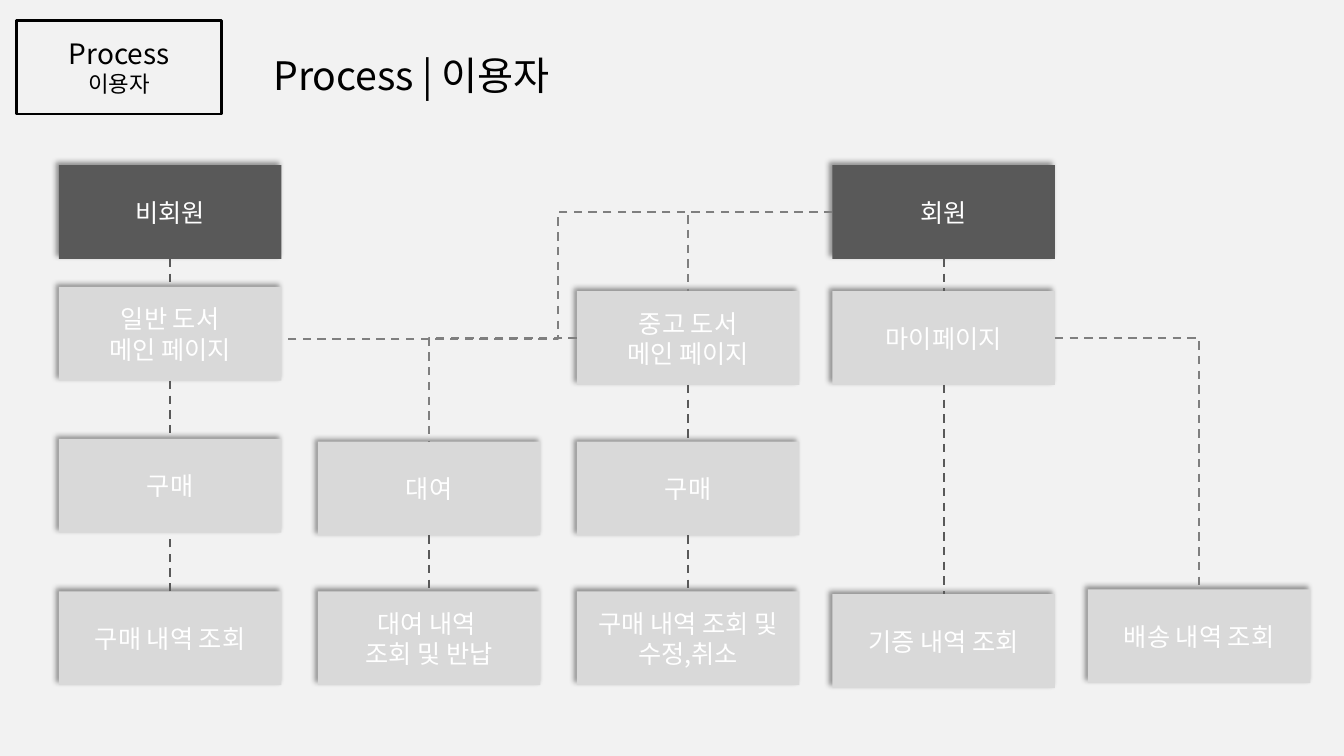
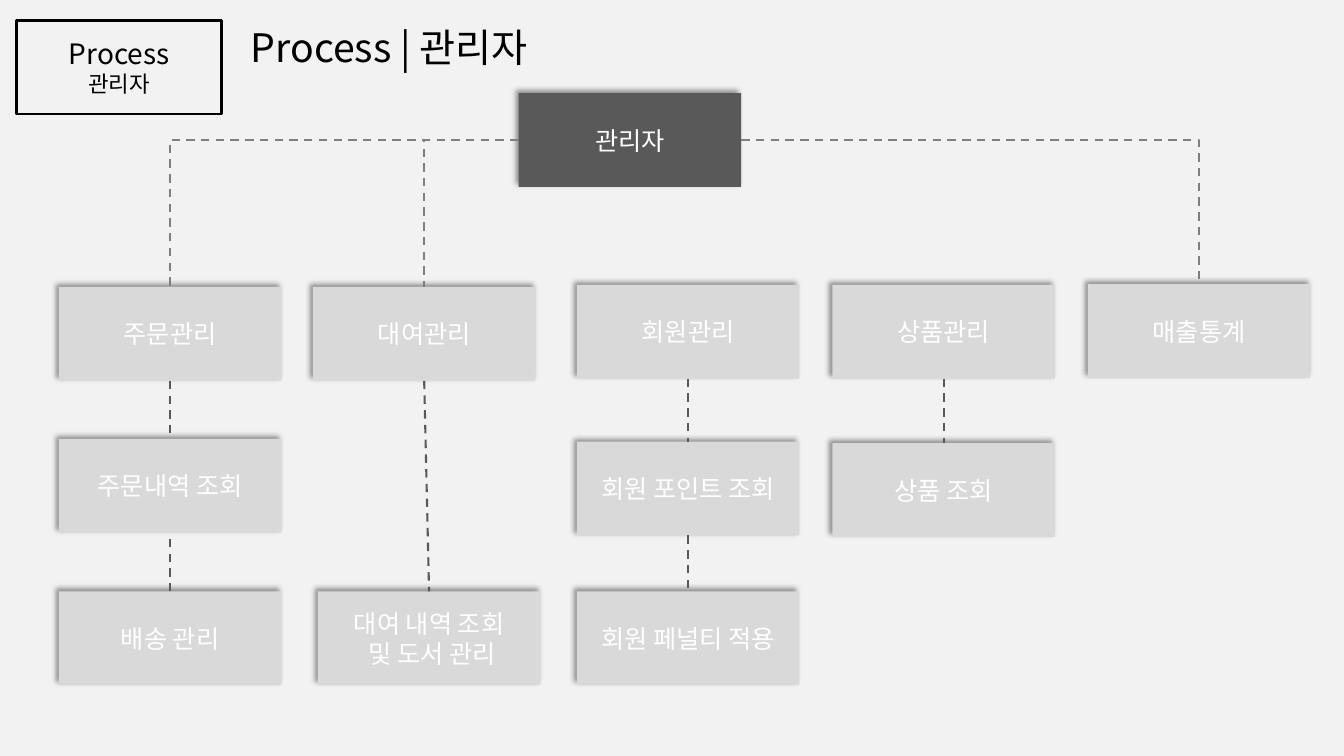
from dataclasses import dataclass

from lxml import etree
from pptx import Presentation
from pptx.dml.color import RGBColor
from pptx.enum.dml import MSO_LINE
from pptx.enum.shapes import MSO_CONNECTOR, MSO_SHAPE
from pptx.enum.text import MSO_ANCHOR, MSO_AUTO_SIZE, PP_ALIGN
from pptx.oxml import parse_xml
from pptx.oxml.ns import nsdecls, qn
from pptx.util import Pt

RECTANGLE = MSO_SHAPE.RECTANGLE
STRAIGHT, ELBOW = MSO_CONNECTOR.STRAIGHT, MSO_CONNECTOR.ELBOW
DASH = MSO_LINE.DASH
LEFT, CENTER = PP_ALIGN.LEFT, PP_ALIGN.CENTER
TOP_ANCHOR, MIDDLE_ANCHOR = MSO_ANCHOR.TOP, MSO_ANCHOR.MIDDLE
NO_AUTOSIZE = MSO_AUTO_SIZE.NONE
TITLE_ONLY = 5

# Connection sites of a rectangle, and where each lies on it
TOP_SITE, LEFT_SITE, BOTTOM_SITE, RIGHT_SITE = range(4)
SITE_PLACES = {TOP_SITE: (0.5, 0), LEFT_SITE: (0, 0.5),
               BOTTOM_SITE: (0.5, 1), RIGHT_SITE: (1, 0.5)}


@dataclass(frozen=True)
class Theme:
    font: str = "Noto Sans CJK KR"
    page: str = "F2F2F2"
    ink: str = "000000"
    light_text: str = "FFFFFF"
    step: str = "D9D9D9"
    actor: str = "595959"
    straight: str = "595959"
    elbow: str = "7F7F7F"
    title_size: float = 28
    badge_size: float = 20
    badge_note_size: float = 16
    box_size: float = 18
    badge_line: float = 2
    link_line: float = 1.5


THEME = Theme()
BOX_WIDTH, BOX_HEIGHT = 159, 67
COLUMNS = (42, 227, 412, 594.5, 777)

# Boxes: key -> (text, left, top); links: (from, side, to, side)
USER_PAGE = {
    "role": "이용자",
    "title_at": (188, 33),
    "actors": {
        "guest": ("비회원", COLUMNS[0], 118),
        "member": ("회원", COLUMNS[3], 118),
    },
    "steps": {
        "books": ("일반 도서\n메인 페이지", COLUMNS[0], 205),
        "used": ("중고 도서\n메인 페이지", COLUMNS[2], 208),
        "my_page": ("마이페이지", COLUMNS[3], 208),
        "buy": ("구매", COLUMNS[0], 313.5),
        "rent": ("대여", COLUMNS[1], 315.5),
        "buy_used": ("구매", COLUMNS[2], 315.5),
        "orders": ("구매 내역 조회", COLUMNS[0], 422.5),
        "rentals": ("대여 내역 \n조회 및 반납", COLUMNS[1], 422.5),
        "used_orders": ("구매 내역 조회 및 수정,취소", COLUMNS[2], 422.5),
        "donations": ("기증 내역 조회", COLUMNS[3], 424.5),
        "delivery": ("배송 내역 조회", COLUMNS[4], 421),
    },
    "chains": (("guest", "books", "buy"), ("used", "buy_used", "used_orders"),
               ("member", "my_page", "donations"), ("rent", "rentals")),
    "rising": (("orders", "buy"),),
    "corners": (("member", LEFT_SITE, "used"), ("used", LEFT_SITE, "rent"),
                ("my_page", RIGHT_SITE, "delivery")),
    "zigzags": (("member", LEFT_SITE, (202.5, 242)),),
}
MANAGER_PAGE = {
    "role": "관리자",
    "title_at": (172, 13),
    "actors": {"manager": ("관리자", 370.5, 66.5)},
    "steps": {
        "orders": ("주문관리", COLUMNS[0], 205),
        "rentals": ("대여관리", 223.5, 205),
        "members": ("회원관리", COLUMNS[2], 203.5),
        "goods": ("상품관리", COLUMNS[3], 203.5),
        "sales": ("매출통계", COLUMNS[4], 203),
        "order_list": ("주문내역 조회", COLUMNS[0], 313.5),
        "points": ("회원 포인트 조회", COLUMNS[2], 315.5),
        "goods_list": ("상품 조회", COLUMNS[3], 316.5),
        "delivery": ("배송 관리", COLUMNS[0], 422.5),
        "rental_list": ("대여 내역 조회\n 및 도서 관리", COLUMNS[1], 422.5),
        "penalty": ("회원 페널티 적용", COLUMNS[2], 422.5),
    },
    "chains": (("orders", "order_list"), ("members", "points", "penalty"),
               ("goods", "goods_list"), ("rentals", "rental_list")),
    "rising": (("delivery", "order_list"),),
    "corners": (("manager", LEFT_SITE, "orders"),
                ("manager", LEFT_SITE, "rentals"),
                ("manager", RIGHT_SITE, "sales")),
    "zigzags": (),
}


def set_all(target, values):
    for name, value in values.items():
        setattr(target, name, value)


def outline_text(span):
    """Give a run a thin, mostly transparent outline."""
    span.font._element.insert(0, parse_xml(
        f'<a:ln {nsdecls("a")} w="9525"><a:solidFill><a:srgbClr val="{THEME.ink}">'
        '<a:alpha val="30000"/></a:srgbClr></a:solidFill></a:ln>'))


def write(frame, lines, color, align=CENTER, anchor=MIDDLE_ANCHOR, outlined=False):
    """Fill a text frame with (text, size) lines, one paragraph each."""
    set_all(frame, {"word_wrap": True, "auto_size": NO_AUTOSIZE,
                    "vertical_anchor": anchor})
    for index, (text, size) in enumerate(lines):
        para = frame.add_paragraph() if index else frame.paragraphs[0]
        para.alignment = align
        span = para.add_run()
        span.text = text
        set_all(span.font, {"name": THEME.font, "size": Pt(size)})
        span.font.color.rgb = RGBColor.from_string(color)
        latin = span.font._element.find(qn("a:latin"))
        latin.addnext(parse_xml(
            f'<a:ea {nsdecls("a")} typeface="{THEME.font}"/>'))
        if outlined:
            outline_text(span)


def add_rectangle(page, left, top, width, height):
    box = page.shapes.add_shape(RECTANGLE, Pt(left), Pt(top), Pt(width), Pt(height))
    box.shadow.inherit = False
    return box


def add_heading(page, role, left, top):
    """Place the slide title and the framed badge in the corner."""
    title = page.shapes.title
    set_all(title, {"left": Pt(left), "top": Pt(top),
                    "width": Pt(262), "height": Pt(41)})
    write(title.text_frame, [(f"Process | {role}", THEME.title_size)],
          THEME.ink, LEFT, TOP_ANCHOR, outlined=True)

    badge = add_rectangle(page, 12, 14.5, 146.5, 67)
    badge.fill.background()
    badge.line.color.rgb = RGBColor.from_string(THEME.ink)
    badge.line.width = Pt(THEME.badge_line)
    write(badge.text_frame,
          [("Process", THEME.badge_size), (role, THEME.badge_note_size)],
          THEME.ink, outlined=True)


def add_box(page, text, left, top, color):
    box = add_rectangle(page, left, top, BOX_WIDTH, BOX_HEIGHT)
    box.fill.solid()
    box.fill.fore_color.rgb = RGBColor.from_string(color)
    box.line.fill.background()
    box.element.spPr.find(qn("a:effectLst")).append(parse_xml(
        f'<a:outerShdw {nsdecls("a")} blurRad="{Pt(4)}" dist="{Pt(3)}" '
        'dir="13500000" algn="br" rotWithShape="0"><a:srgbClr val="000000">'
        '<a:alpha val="40000"/></a:srgbClr></a:outerShdw>'))
    write(box.text_frame,
          [(line, THEME.box_size) for line in text.split("\n")], THEME.light_text)
    return box


def site_point(box, site):
    across, down = SITE_PLACES[site]
    return int(box.left + across * box.width), int(box.top + down * box.height)


def add_link(page, kind, color, start, start_site, end, end_site=None):
    """Join two boxes with a dashed line; without end_site, end is a point."""
    end_point = (site_point(end, end_site) if end_site is not None
                 else tuple(Pt(value) for value in end))
    link = page.shapes.add_connector(kind, *site_point(start, start_site), *end_point)
    link.begin_connect(start, start_site)
    if end_site is not None:
        link.end_connect(end, end_site)
    link.line.color.rgb = RGBColor.from_string(color)
    set_all(link.line, {"width": Pt(THEME.link_line), "dash_style": DASH})
    etree.SubElement(link.element.spPr, qn("a:effectLst"))
    return link


def add_corner(page, start, start_site, end):
    """Join a side of one box to the top of another with a single bend."""
    link = add_link(page, ELBOW, THEME.elbow, start, start_site, end, TOP_SITE)
    link.element.spPr.find(qn("a:prstGeom")).set("prst", "bentConnector2")


def add_process_page(deck, content):
    page = deck.slides.add_slide(deck.slide_layouts[TITLE_ONLY])
    add_heading(page, content["role"], *content["title_at"])
    boxes = {}
    for group, color in (("steps", THEME.step), ("actors", THEME.actor)):
        for key, place in content[group].items():
            boxes[key] = add_box(page, *place, color)
    for chain in content["chains"]:
        for upper, lower in zip(chain, chain[1:]):
            add_link(page, STRAIGHT, THEME.straight, boxes[upper], BOTTOM_SITE,
                     boxes[lower], TOP_SITE)
    for lower, upper in content["rising"]:
        add_link(page, STRAIGHT, THEME.straight, boxes[lower], TOP_SITE,
                 boxes[upper], BOTTOM_SITE)
    for start, site, end in content["corners"]:
        add_corner(page, boxes[start], site, boxes[end])
    for start, site, point in content["zigzags"]:
        add_link(page, ELBOW, THEME.elbow, boxes[start], site, point)


def main():
    deck = Presentation()
    set_all(deck, {"slide_width": Pt(960), "slide_height": Pt(540)})
    background = deck.slide_master.background.fill
    background.solid()
    background.fore_color.rgb = RGBColor.from_string(THEME.page)
    for content in (USER_PAGE, MANAGER_PAGE):
        add_process_page(deck, content)
    deck.save("out.pptx")


if __name__ == "__main__":
    main()
